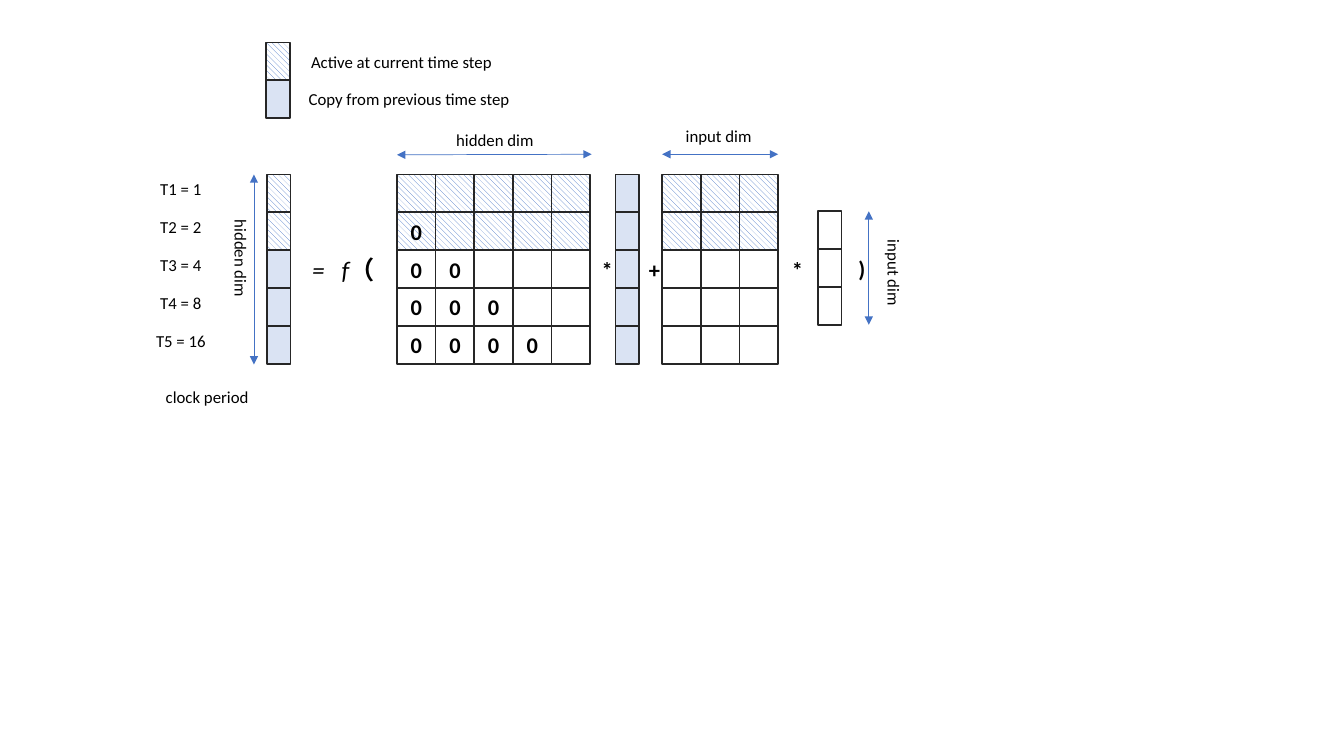
from dataclasses import dataclass
from typing import Callable, Optional

from lxml.etree import SubElement
from pptx import Presentation
from pptx.dml.color import RGBColor
from pptx.enum.dml import MSO_PATTERN
from pptx.enum.shapes import MSO_CONNECTOR, MSO_SHAPE
from pptx.enum.text import MSO_ANCHOR, MSO_AUTO_SIZE, PP_ALIGN
from pptx.oxml.ns import qn
from pptx.util import Pt


@dataclass(frozen=True)
class Theme:
    font: str = "Calibri"
    ink: RGBColor = RGBColor(0, 0, 0)
    edge: RGBColor = RGBColor(0x26, 0x26, 0x26)
    blue: RGBColor = RGBColor(0x44, 0x72, 0xC4)
    pale: RGBColor = RGBColor(0xDA, 0xE3, 0xF3)
    white: RGBColor = RGBColor(255, 255, 255)
    note: float = 12
    sign: float = 16
    func: float = 18
    border: float = 1.25
    arrow: float = 0.5


THEME = Theme()
CELL, ROW, SLIM = 27.6, 27.05, 16.9
TOP, MID = 124.6, 178.7
ACTIVE, COPIED, BLANK = "active", "copied", "blank"
NOTE = {"size": Pt(THEME.note)}
SIGN = {"size": Pt(THEME.sign), "bold": True}
FUNC = {"size": Pt(THEME.func)}


@dataclass(frozen=True)
class Grid:
    left: float
    top: float
    width: float
    rows: int
    cols: int
    state: Callable[[int], str]
    zeros: bool = False


@dataclass(frozen=True)
class Label:
    text: str
    left: float
    top: float
    width: float
    height: float = ROW
    style: Optional[dict] = None
    anchor: MSO_ANCHOR = MSO_ANCHOR.MIDDLE
    wrap: bool = True
    grow: bool = False
    upright: bool = False


@dataclass(frozen=True)
class Arrow:
    x1: float
    y1: float
    x2: float
    y2: float


def active_top(row: int) -> str:
    return ACTIVE if row < 2 else BLANK


GRIDS = [
    Grid(190.1, 30.3, SLIM, 2, 1, lambda row: (ACTIVE, COPIED)[row]),
    Grid(190.7, TOP, SLIM, 5, 1, lambda row: ACTIVE if row < 2 else COPIED),
    Grid(283.6, TOP, CELL, 5, 5, active_top, zeros=True),
    Grid(439.6, TOP, SLIM, 5, 1, lambda row: COPIED),
    Grid(473, TOP, CELL, 5, 3, active_top),
    Grid(584.2, 151, SLIM, 3, 1, lambda row: BLANK),
]

PERIODS = [Label(f"T{n + 1} = {2 ** n}", 101.5, 121.6 + n * ROW, 55.4) for n in range(5)]

TOP_GROW = {"anchor": MSO_ANCHOR.TOP, "grow": True}
LABELS = [
    Label("Active at current time step", 206.9, 30.3, 159.8),
    Label("Copy from previous time step", 206.9, 57.4, 170.6),
    Label("clock period", 108.7, 270, 78.5),
    Label("*", 422.7, MID, SLIM, style=SIGN),
    Label("+", 456.5, MID, SLIM, style=SIGN),
    Label("*", 555.8, MID, CELL, style=SIGN),
    Label(")", 601.9, 178, CELL, style=SIGN),
    Label("input dim", 482.4, 86.6, 61.9, 21.8, wrap=False, **TOP_GROW),
    Label("hidden dim", 284.4, 89.3, 138.2, 21.8, **TOP_GROW),
    Label("input dim", 620.6, 164.2, 29, 54.7, wrap=False, upright=True, **TOP_GROW),
    Label("hidden dim", 154.1, 149.8, 29, 93.6, upright=True, **TOP_GROW),
]

ARROWS = [
    Arrow(473, 110.2, 555.8, 110.2),
    Arrow(283.6, 110.6, 422.6, 110.2),
    Arrow(620.6, 151, 620.6, 232),
    Arrow(181.4, 260.4, 181.4, TOP),
]


def add_run(line, text: str, style: dict):
    run = line.add_run()
    run.text = text
    run.font.color.rgb = THEME.ink
    for name, value in {"name": THEME.font, **style}.items():
        setattr(run.font, name, value)
    return run


def paint(fill, state: str) -> None:
    if state == ACTIVE:
        fill.patterned()
        fill.pattern = MSO_PATTERN.WIDE_DOWNWARD_DIAGONAL
        fill.fore_color.rgb = THEME.blue
        fill.back_color.rgb = THEME.white
    elif state == COPIED:
        fill.solid()
        fill.fore_color.rgb = THEME.pale
    else:
        fill.background()


def draw_grid(shapes, grid: Grid) -> None:
    for row in range(grid.rows):
        for col in range(grid.cols):
            box = shapes.add_shape(
                MSO_SHAPE.RECTANGLE,
                Pt(grid.left + col * grid.width), Pt(grid.top + row * ROW),
                Pt(grid.width), Pt(ROW))
            box.shadow.inherit = False
            paint(box.fill, grid.state(row))
            box.line.color.rgb = THEME.edge
            box.line.width = Pt(THEME.border)
            if grid.zeros and row > col:
                frame = box.text_frame
                frame.vertical_anchor = MSO_ANCHOR.MIDDLE
                line = frame.paragraphs[0]
                line.alignment = PP_ALIGN.CENTER
                add_run(line, "0", SIGN)


def draw_label(shapes, label: Label):
    """Add the text box and return its paragraph."""
    box = shapes.add_textbox(
        Pt(label.left), Pt(label.top), Pt(label.width), Pt(label.height))
    frame = box.text_frame
    fit = MSO_AUTO_SIZE.SHAPE_TO_FIT_TEXT if label.grow else MSO_AUTO_SIZE.NONE
    for name, value in {"word_wrap": label.wrap, "auto_size": fit,
                        "vertical_anchor": label.anchor}.items():
        setattr(frame, name, value)
    if label.upright:
        frame._txBody.bodyPr.set("vert", "eaVert")
    line = frame.paragraphs[0]
    line.alignment = PP_ALIGN.CENTER
    if label.text:
        add_run(line, label.text, label.style or NOTE)
    return line


def draw_func(shapes) -> None:
    """Write the sign, the function name and its bracket, with a wide gap."""
    line = draw_label(shapes, Label("", 206.9, MID, 76.7))
    slant = {**FUNC, "italic": True}
    add_run(line, "=", slant)
    gap = add_run(line, " ", slant)
    gap.font._element.set("spc", "810")
    add_run(line, "f", slant)
    add_run(line, "（", {**FUNC, "bold": True})


def draw_arrow(shapes, arrow: Arrow) -> None:
    link = shapes.add_connector(
        MSO_CONNECTOR.STRAIGHT,
        Pt(arrow.x1), Pt(arrow.y1), Pt(arrow.x2), Pt(arrow.y2))
    link.line.color.rgb = THEME.blue
    link.line.width = Pt(THEME.arrow)
    stroke = link.line._get_or_add_ln()
    for end in ("a:headEnd", "a:tailEnd"):
        SubElement(stroke, qn(end), type="triangle")
    SubElement(link._element.spPr, qn("a:effectLst"))


def main() -> None:
    deck = Presentation()
    deck.slide_width, deck.slide_height = Pt(960), Pt(540)
    shapes = deck.slides.add_slide(deck.slide_layouts[6]).shapes
    for grid in GRIDS:
        draw_grid(shapes, grid)
    draw_func(shapes)
    clock = shapes.add_group_shape().shapes
    for label in PERIODS:
        draw_label(clock, label)
    for label in LABELS:
        draw_label(shapes, label)
    for arrow in ARROWS:
        draw_arrow(shapes, arrow)
    deck.save("out.pptx")


if __name__ == "__main__":
    main()
